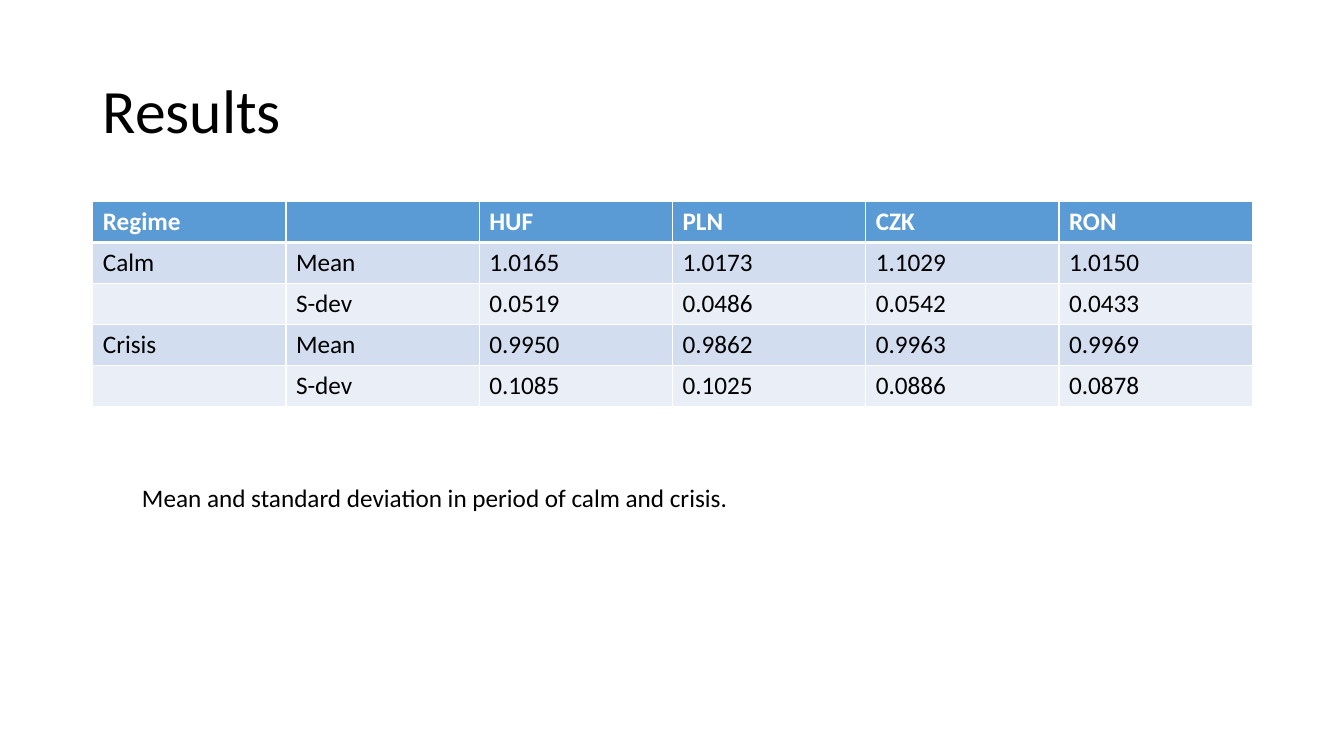
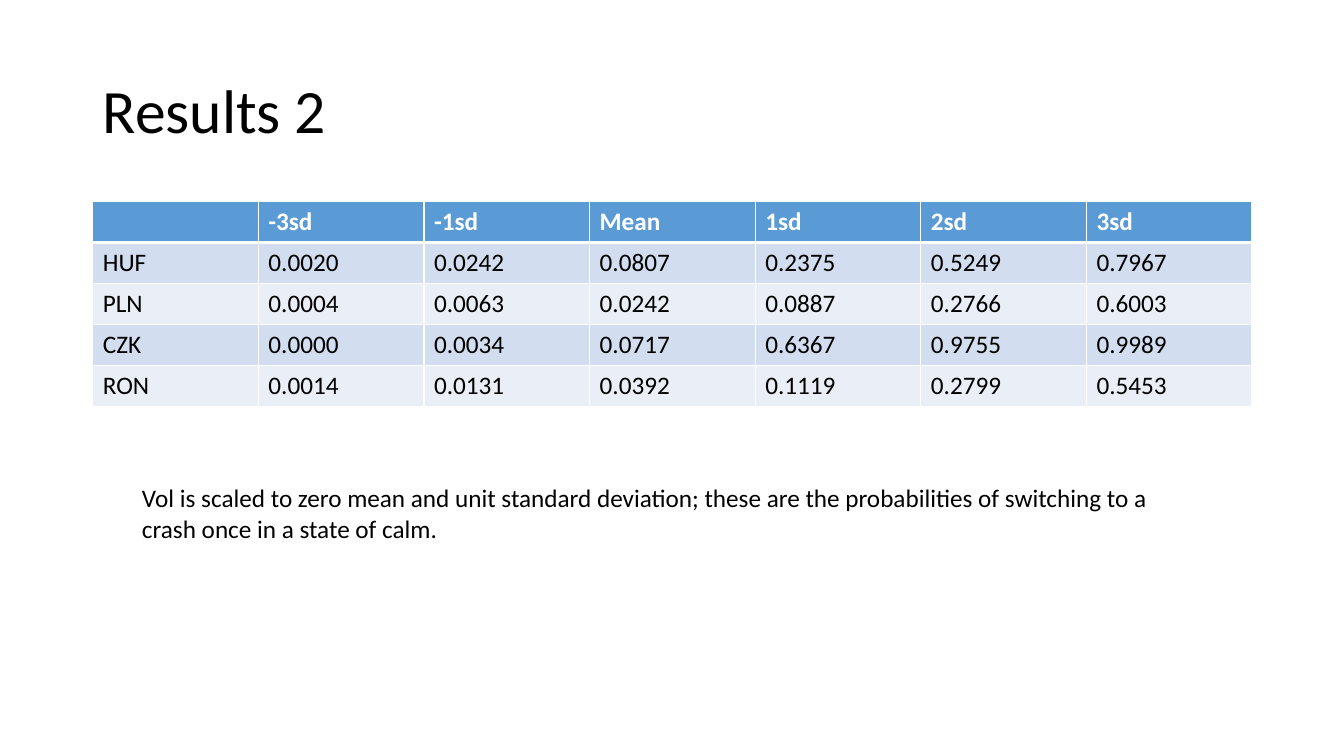
from dataclasses import dataclass

from lxml.etree import SubElement
from pptx import Presentation
from pptx.dml.color import RGBColor
from pptx.enum.text import MSO_ANCHOR
from pptx.oxml.ns import qn
from pptx.slide import Slide
from pptx.table import _Cell
from pptx.text.text import _Paragraph
from pptx.util import Inches, Pt

SLIDE_WIDTH, SLIDE_HEIGHT = 13.33, 7.5
FONT = "Calibri"
BLACK, WHITE = "000000", "FFFFFF"
HEADER_FILL = "5B9BD5"
BAND_FILLS = ("D2DEEF", "EAEFF7")
TITLE_SIZE, BODY_SIZE = 44, 18
GRID_LINE, HEADER_LINE = 1, 3


@dataclass(frozen=True)
class Area:
    left: float
    top: float
    width: float
    height: float

    def emu(self) -> tuple[int, int, int, int]:
        return (Inches(self.left), Inches(self.top),
                Inches(self.width), Inches(self.height))


@dataclass(frozen=True)
class Result:
    title: str
    rows: tuple[tuple[str, ...], ...]
    note: str
    note_lines: int = 1


TITLE_AREA = Area(0.92, 0.4, 11.5, 1.45)
TABLE_AREA = Area(0.92, 2, 11.5, 2.03)
NOTE_LEFT, NOTE_TOP, NOTE_WIDTH = 1.31, 4.74, 10.21
NOTE_PADDING, NOTE_LINE = 0.1, 0.3

RESULTS = (
    Result(
        "Results",
        (
            ("Regime", "", "HUF", "PLN", "CZK", "RON"),
            ("Calm", "Mean", "1.0165", "1.0173", "1.1029", "1.0150"),
            ("", "S-dev", "0.0519", "0.0486", "0.0542", "0.0433"),
            ("Crisis", "Mean", "0.9950", "0.9862", "0.9963", "0.9969"),
            ("", "S-dev", "0.1085", "0.1025", "0.0886", "0.0878"),
        ),
        "Mean and standard deviation in period of calm and crisis.",
    ),
    Result(
        "Results 2",
        (
            ("", "-3sd", "-1sd", "Mean", "1sd", "2sd", "3sd"),
            ("HUF", "0.0020", "0.0242", "0.0807", "0.2375", "0.5249", "0.7967"),
            ("PLN", "0.0004", "0.0063", "0.0242", "0.0887", "0.2766", "0.6003"),
            ("CZK", "0.0000", "0.0034", "0.0717", "0.6367", "0.9755", "0.9989"),
            ("RON", "0.0014", "0.0131", "0.0392", "0.1119", "0.2799", "0.5453"),
        ),
        "Vol is scaled to zero mean and unit standard deviation; these are the "
        "probabilities of switching to a crash once in a state of calm.",
        note_lines=2,
    ),
)


def rgb(value: str) -> RGBColor:
    return RGBColor.from_string(value)


def style(paragraph: _Paragraph, size: float, color: str = BLACK,
          bold: bool = False) -> None:
    font = paragraph.font
    font.name, font.size, font.bold = FONT, Pt(size), bold
    font.color.rgb = rgb(color)


def add_text(slide: Slide, area: Area, text: str, size: float,
             anchor: MSO_ANCHOR = MSO_ANCHOR.TOP,
             line_spacing: float = 1.0) -> None:
    frame = slide.shapes.add_textbox(*area.emu()).text_frame
    frame.word_wrap = True
    frame.vertical_anchor = anchor
    paragraph = frame.paragraphs[0]
    paragraph.text = text
    paragraph.line_spacing = line_spacing
    style(paragraph, size)


def set_borders(cell: _Cell, top: float, bottom: float) -> None:
    properties = cell._tc.get_or_add_tcPr()
    sides = (("L", GRID_LINE), ("R", GRID_LINE), ("T", top), ("B", bottom))
    for side, width in sides:
        line = SubElement(properties, qn(f"a:ln{side}"), w=str(Pt(width)))
        fill = SubElement(line, qn("a:solidFill"))
        SubElement(fill, qn("a:srgbClr"), val=WHITE)


def fill_cell(cell: _Cell, text: str, row: int) -> None:
    is_header = row == 0
    set_borders(cell,
                top=HEADER_LINE if row == 1 else GRID_LINE,
                bottom=HEADER_LINE if is_header else GRID_LINE)
    cell.fill.solid()
    cell.fill.fore_color.rgb = rgb(
        HEADER_FILL if is_header else BAND_FILLS[(row - 1) % 2])
    paragraph = cell.text_frame.paragraphs[0]
    if text:
        paragraph.text = text
    style(paragraph, BODY_SIZE, WHITE if is_header else BLACK, is_header)


def add_results_table(slide: Slide, rows: tuple[tuple[str, ...], ...]) -> None:
    row_count, column_count = len(rows), len(rows[0])
    table = slide.shapes.add_table(
        row_count, column_count, *TABLE_AREA.emu()).table
    table.horz_banding = False
    for column in table.columns:
        column.width = Inches(TABLE_AREA.width / column_count)
    for row, values in enumerate(rows):
        table.rows[row].height = Inches(TABLE_AREA.height / row_count)
        for column, text in enumerate(values):
            fill_cell(table.cell(row, column), text, row)


def add_result(slide: Slide, result: Result) -> None:
    add_text(slide, TITLE_AREA, result.title, TITLE_SIZE,
             MSO_ANCHOR.MIDDLE, line_spacing=0.9)
    add_results_table(slide, result.rows)
    note_height = NOTE_PADDING + NOTE_LINE * result.note_lines
    add_text(slide, Area(NOTE_LEFT, NOTE_TOP, NOTE_WIDTH, note_height),
             result.note, BODY_SIZE)


def main() -> None:
    presentation = Presentation()
    presentation.slide_width = Inches(SLIDE_WIDTH)
    presentation.slide_height = Inches(SLIDE_HEIGHT)
    blank = presentation.slide_layouts[6]
    for result in RESULTS:
        add_result(presentation.slides.add_slide(blank), result)
    presentation.save("out.pptx")


if __name__ == "__main__":
    main()
